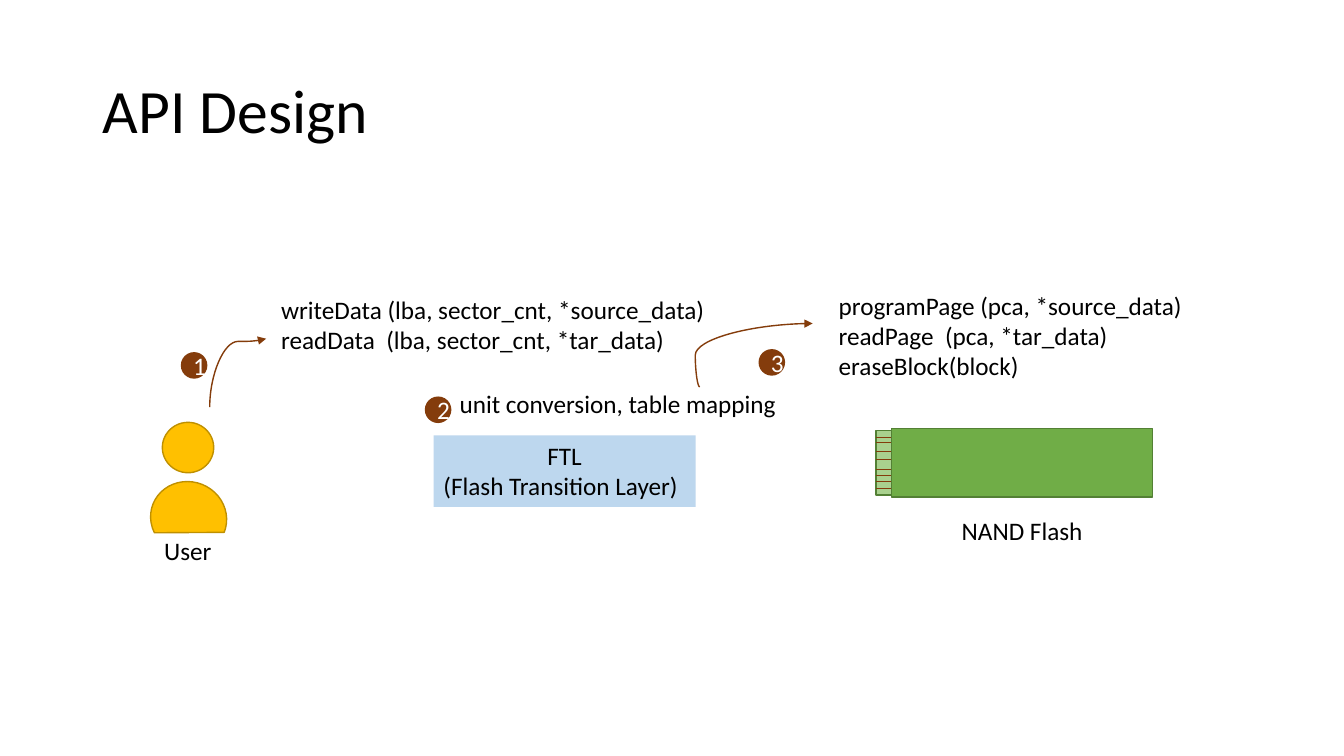
"""Build the API design slide: user, FTL and NAND flash with their calls."""
from dataclasses import dataclass
from typing import Optional

from lxml.etree import SubElement
from pptx import Presentation
from pptx.dml.color import RGBColor
from pptx.enum.shapes import MSO_CONNECTOR, MSO_SHAPE
from pptx.enum.text import MSO_ANCHOR, PP_ALIGN
from pptx.oxml.ns import qn
from pptx.util import Inches, Pt


@dataclass(frozen=True)
class Theme:
    font: str = "Calibri"
    title: int = 44
    body: int = 18
    text: str = "000000"
    white: str = "FFFFFF"
    person: str = "FFC000"
    person_line: str = "BF9000"
    chip: str = "70AD47"
    edge: str = "A9D18E"
    chip_line: str = "538035"
    ftl: str = "BDD7EE"
    badge: str = "843C0C"
    accent: str = "843C0B"


@dataclass(frozen=True)
class Label:
    text: str
    box: tuple[float, float, float, float]
    wrap: bool = False


@dataclass(frozen=True)
class Badge:
    number: str
    x: float
    y: float


@dataclass(frozen=True)
class Curve:
    begin: tuple[float, float]
    end: tuple[float, float]
    bend: float
    rotation: int = 0


THEME = Theme()
BADGE_SIZE = 0.25
EDGE_X, CHIP_X = 8.69, 8.84
PIN_YS = (4.34, 4.39, 4.48, 4.56, 4.66, 4.72, 4.78, 4.85)

LABELS = (
    Label("writeData (lba, sector_cnt, *source_data)\n"
          "readData  (lba, sector_cnt, *tar_data)", (2.69, 2.87, 5.1, 1.01), True),
    Label("programPage (pca, *source_data)\nreadPage  (pca, *tar_data)\n"
          "eraseBlock(block)", (8.22, 2.83, 3.7, 1.01), True),
    Label("unit conversion, table mapping", (4.46, 3.8, 3.38, 0.4)),
    Label("NAND Flash", (9.44, 5.06, 1.41, 0.4)),
    Label("User", (1.53, 5.26, 0.68, 0.4)),
)
BADGES = (Badge("1", 1.8, 3.5), Badge("2", 4.22, 3.94), Badge("3", 7.53, 3.47))
CURVES = (
    Curve((2.7, 3.98), (2.02, 3.42), 0.96, 90),
    Curve((6.94, 3.84), (8.06, 3.21), -0.04),
)


def write(sp, text: str, *, size: int = THEME.body, color: str = THEME.text,
          aligns: tuple = (), anchor=MSO_ANCHOR.TOP, wrap: bool = True,
          spacing: Optional[float] = None) -> None:
    """Fill a shape with one paragraph per line of text."""
    tf = sp.text_frame
    tf.word_wrap = wrap
    tf.vertical_anchor = anchor
    for i, line in enumerate(text.split("\n")):
        p = tf.paragraphs[0] if i == 0 else tf.add_paragraph()
        p.alignment = aligns[i] if i < len(aligns) else PP_ALIGN.LEFT
        if spacing:
            p.line_spacing = spacing
        r = p.add_run()
        r.text = line
        r.font.name = THEME.font
        r.font.size = Pt(size)
        r.font.color.rgb = RGBColor.from_string(color)


def add_shape(shapes, kind, box: tuple[float, float, float, float], fill: str,
              line: Optional[str] = None, rotation: float = 0):
    """Add a flat preset shape."""
    sp = shapes.add_shape(kind, *map(Inches, box))
    sp.shadow.inherit = False
    sp.rotation = rotation
    sp.fill.solid()
    sp.fill.fore_color.rgb = RGBColor.from_string(fill)
    if line:
        sp.line.color.rgb = RGBColor.from_string(line)
        sp.line.width = Pt(1)
    else:
        sp.line.fill.background()
    return sp


def add_line(shapes, kind, begin: tuple[float, float],
             end: tuple[float, float], width: float):
    """Add an accent-coloured connector without a shadow."""
    cxn = shapes.add_connector(kind, *map(Inches, (*begin, *end)))
    cxn.line.color.rgb = RGBColor.from_string(THEME.accent)
    cxn.line.width = Pt(width)
    SubElement(cxn._element.spPr, qn("a:effectLst"))
    return cxn


def add_curve(shapes, curve: Curve) -> None:
    """Add a curved arrow with its bend and rotation."""
    cxn = add_line(shapes, MSO_CONNECTOR.CURVE, curve.begin, curve.end, 1)
    sp_pr = cxn._element.spPr
    if curve.rotation:
        sp_pr.find(qn("a:xfrm")).set("rot", str(curve.rotation * 60000))
    guides = sp_pr.find(qn("a:prstGeom")).find(qn("a:avLst"))
    SubElement(guides, qn("a:gd"), name="adj1",
               fmla=f"val {round(curve.bend * 100000)}")
    SubElement(sp_pr.find(qn("a:ln")), qn("a:tailEnd"), type="triangle")


def add_user(shapes) -> None:
    """Draw the user as a head and shoulders."""
    user = shapes.add_group_shape().shapes
    add_shape(user, MSO_SHAPE.OVAL, (1.61, 4.19, 0.51, 0.5),
              THEME.person, THEME.person_line)
    add_shape(user, MSO_SHAPE.CHORD, (1.51, 4.76, 0.72, 0.76),
              THEME.person, THEME.person_line, 111.8)


def add_flash(shapes) -> None:
    """Draw the flash chip with its edge contacts."""
    flash = shapes.add_group_shape().shapes
    add_shape(flash, MSO_SHAPE.RECTANGLE, (CHIP_X, 4.25, 2.59, 0.68),
              THEME.chip, THEME.chip_line)
    add_shape(flash, MSO_SHAPE.RECTANGLE, (EDGE_X, 4.27, CHIP_X - EDGE_X, 0.64),
              THEME.edge, THEME.chip_line)
    for y in PIN_YS:
        add_line(flash, MSO_CONNECTOR.STRAIGHT, (EDGE_X, y), (CHIP_X, y), 0.75)


def main() -> None:
    """Build and save the slide."""
    prs = Presentation()
    prs.slide_width, prs.slide_height = Inches(13.33), Inches(7.5)
    s = prs.slides.add_slide(prs.slide_layouts[5])
    shapes = s.shapes

    title = shapes.title
    title.left, title.top, title.width, title.height = map(
        Inches, (0.92, 0.4, 11.5, 1.45))
    write(title, "API Design", size=THEME.title, anchor=MSO_ANCHOR.MIDDLE,
          spacing=0.9)

    add_user(shapes)
    add_flash(shapes)
    ftl = add_shape(shapes, MSO_SHAPE.RECTANGLE, (4.3, 4.32, 2.6, 0.71), THEME.ftl)
    write(ftl, "FTL\n(Flash Transition Layer)", aligns=(PP_ALIGN.CENTER,),
          wrap=False)

    for curve in CURVES:
        add_curve(shapes, curve)
    for badge in BADGES:
        sp = add_shape(shapes, MSO_SHAPE.OVAL,
                       (badge.x, badge.y, BADGE_SIZE, BADGE_SIZE),
                       THEME.badge, THEME.accent)
        write(sp, badge.number, color=THEME.white, aligns=(PP_ALIGN.CENTER,),
              anchor=MSO_ANCHOR.MIDDLE)
    for label in LABELS:
        sp = shapes.add_textbox(*map(Inches, label.box))
        write(sp, label.text, wrap=label.wrap)

    prs.save("out.pptx")


if __name__ == "__main__":
    main()
